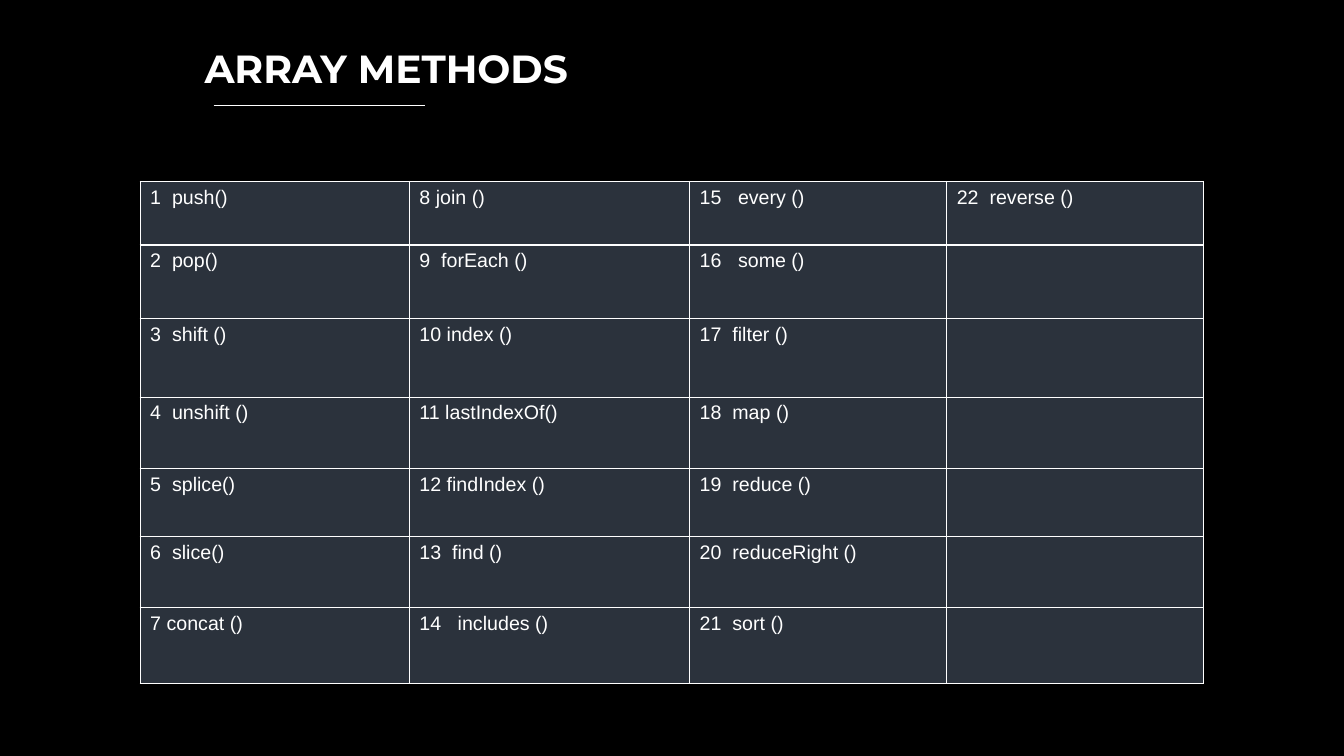
from dataclasses import dataclass

from lxml.etree import SubElement
from pptx import Presentation
from pptx.dml.color import RGBColor
from pptx.enum.shapes import MSO_CONNECTOR as Connector
from pptx.oxml.ns import qn
from pptx.util import Inches, Pt


@dataclass(frozen=True)
class Theme:
    """Colours, fonts and type sizes of the slide."""
    background: RGBColor = RGBColor.from_string("000000")
    ink: RGBColor = RGBColor.from_string("FFFFFF")
    cell: RGBColor = RGBColor.from_string("2B323C")
    title_font: str = "Montserrat"
    body_font: str = "Arial"
    title_size: int = 28
    body_size: int = 14
    rule_width: float = 0.75
    border_width: float = 1


THEME = Theme()
COLUMN_WIDTHS = [2.67, 2.78, 2.55, 2.55]
ROW_HEIGHTS = [0.63, 0.73, 0.78, 0.71, 0.67, 0.71, 0.75]
NUMBER_INDENT = 0.38
METHODS = [
    "1  push()", "2  pop()", "3  shift ()", "4  unshift ()",
    "5  splice()", "6  slice()", "7 concat ()",
    "8 join ()", "9  forEach ()", "10 index ()", "11 lastIndexOf()",
    "12 findIndex ()", "13  find ()", "includes ()",
    "every ()", "some ()", "17  filter ()", "18  map ()",
    "19  reduce ()", "20  reduceRight ()", "21  sort ()",
    "22  reverse ()",
]
AUTO_NUMBERED = {14, 15, 16}


def style_text(para, font, size, bold=False):
    """Format every run of a paragraph."""
    for span in para.runs:
        span.font.name = font
        span.font.size = Pt(size)
        span.font.bold = bold
        span.font.color.rgb = THEME.ink


def add_title(page, text, left, top, width, height):
    """Add the heading text box."""
    box = page.shapes.add_textbox(Inches(left), Inches(top), Inches(width), Inches(height))
    box.text_frame.word_wrap = True
    box.text_frame.text = text
    style_text(box.text_frame.paragraphs[0], THEME.title_font, THEME.title_size, True)


def add_rule(page, left, top, width):
    """Add a thin horizontal line."""
    rule = page.shapes.add_connector(
        Connector.STRAIGHT, Inches(left), Inches(top), Inches(left + width), Inches(top))
    rule.line.color.rgb = THEME.ink
    rule.line.width = Pt(THEME.rule_width)
    SubElement(rule.element.spPr, qn("a:effectLst"))


def style_cell(cell):
    """Give a cell its four borders and its fill."""
    properties = cell._tc.get_or_add_tcPr()
    for side in ("a:lnL", "a:lnR", "a:lnT", "a:lnB"):
        border = SubElement(properties, qn(side), w=str(Pt(THEME.border_width)))
        SubElement(SubElement(border, qn("a:solidFill")), qn("a:srgbClr"), val=str(THEME.ink))
    cell.fill.solid()
    cell.fill.fore_color.rgb = THEME.cell


def number_paragraph(para, number):
    """Number a paragraph automatically from the given start."""
    properties = para._p.get_or_add_pPr()
    properties.set("marL", str(Inches(NUMBER_INDENT)))
    properties.set("indent", str(-Inches(NUMBER_INDENT)))
    SubElement(properties, qn("a:buFont"), typeface=THEME.body_font)
    SubElement(properties, qn("a:buAutoNum"), type="arabicPlain", startAt=str(number))


def add_method_table(page, left, top):
    """Add the table and fill it column by column."""
    row_count = len(ROW_HEIGHTS)
    table = page.shapes.add_table(
        row_count, len(COLUMN_WIDTHS), Inches(left), Inches(top),
        Inches(sum(COLUMN_WIDTHS)), Inches(sum(ROW_HEIGHTS))).table
    for column, width in zip(table.columns, COLUMN_WIDTHS):
        column.width = Inches(width)
    for row, height in zip(table.rows, ROW_HEIGHTS):
        row.height = Inches(height)
    for cell in table.iter_cells():
        style_cell(cell)
    for index, method in enumerate(METHODS):
        column, row = divmod(index, row_count)
        para = table.cell(row, column).text_frame.paragraphs[0]
        para.text = method
        style_text(para, THEME.body_font, THEME.body_size)
        if index + 1 in AUTO_NUMBERED:
            number_paragraph(para, index + 1)


def main():
    """Build the slide and save it."""
    deck = Presentation()
    deck.slide_width, deck.slide_height = Inches(13.33), Inches(7.5)
    page = deck.slides.add_slide(deck.slide_layouts[6])
    page.background.fill.solid()
    page.background.fill.fore_color.rgb = THEME.background
    add_title(page, "ARRAY METHODS", 1.93, 0.39, 11.31, 0.57)
    add_rule(page, 2.12, 1.05, 2.1)
    add_method_table(page, 1.39, 1.8)
    deck.save("out.pptx")


if __name__ == "__main__":
    main()
